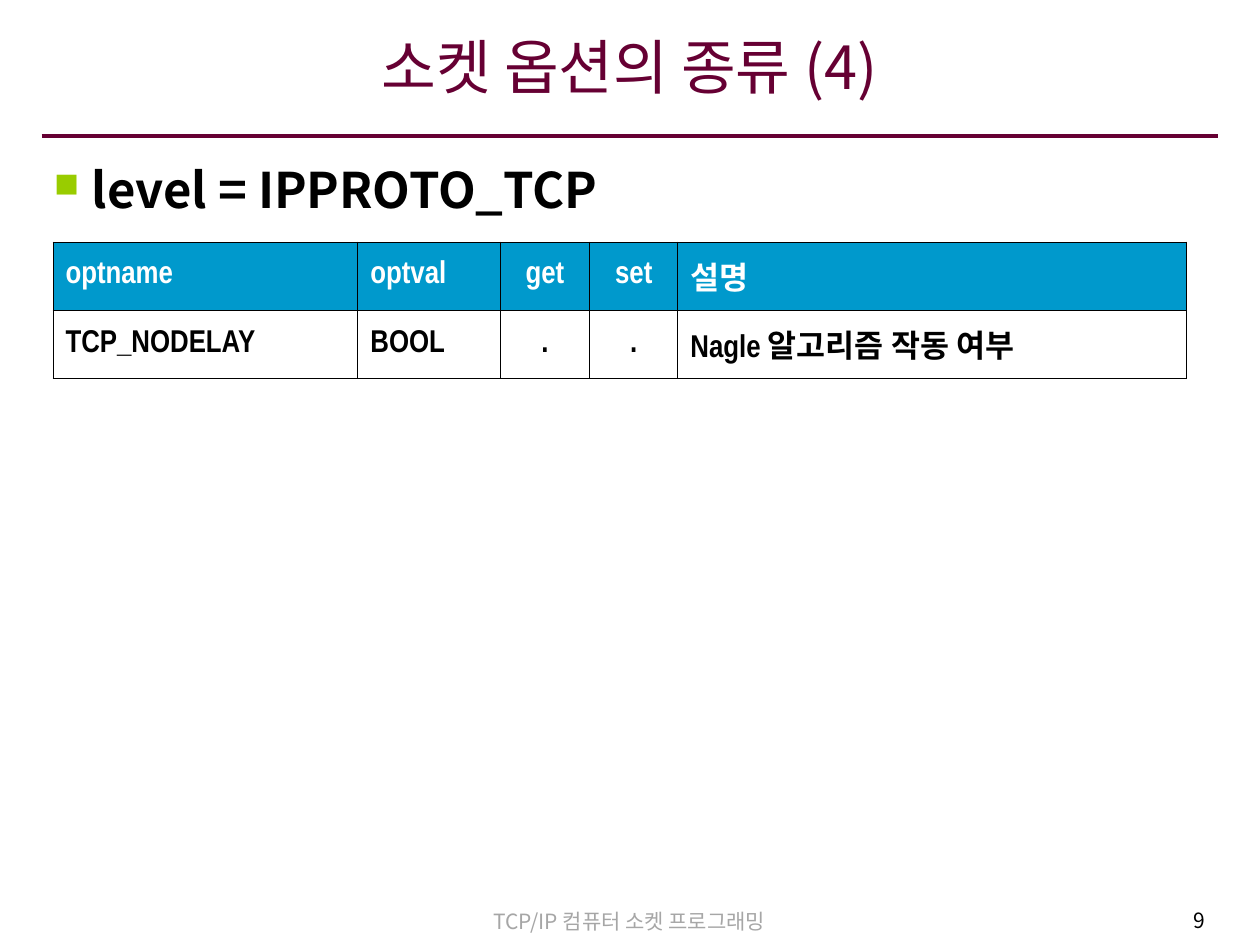
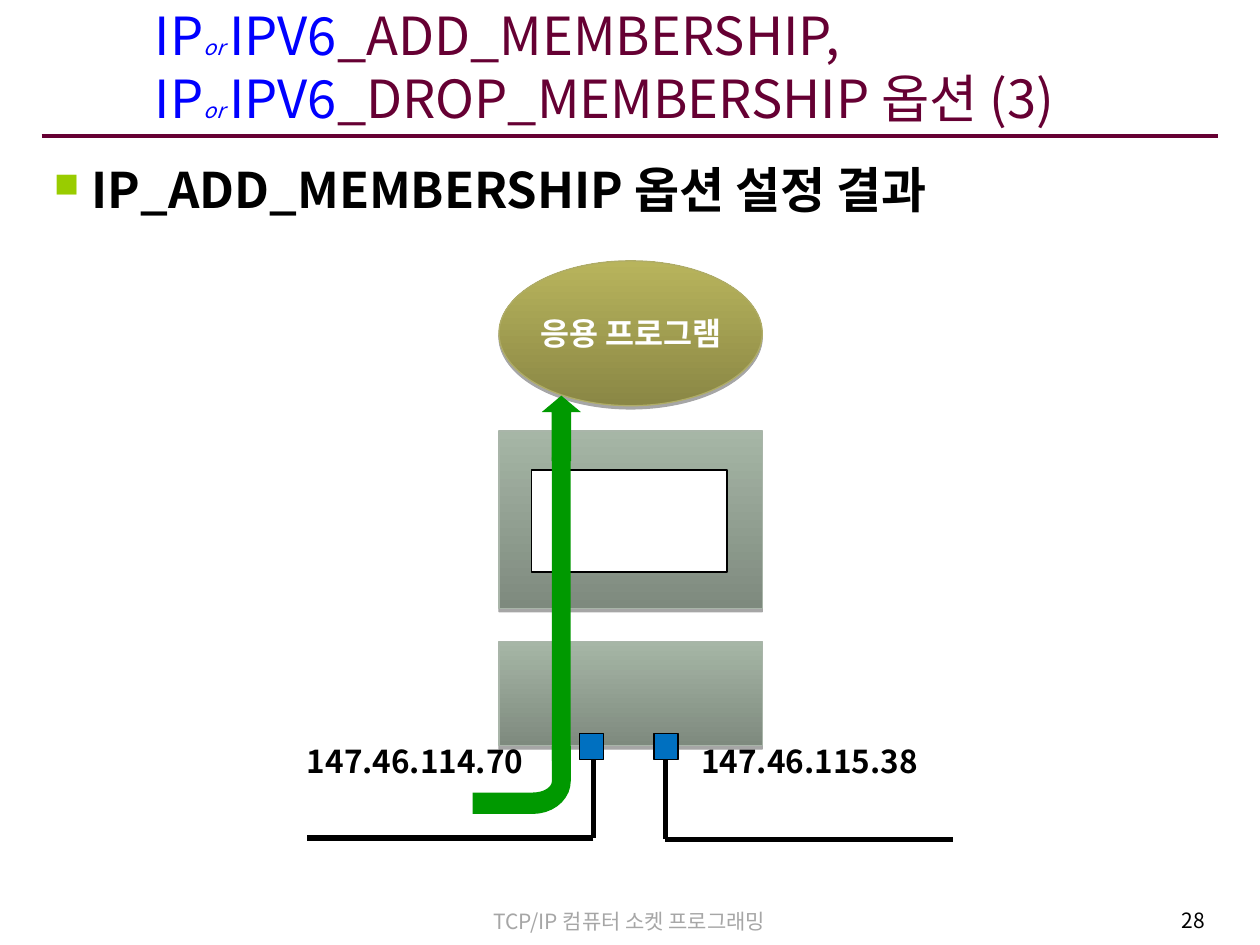
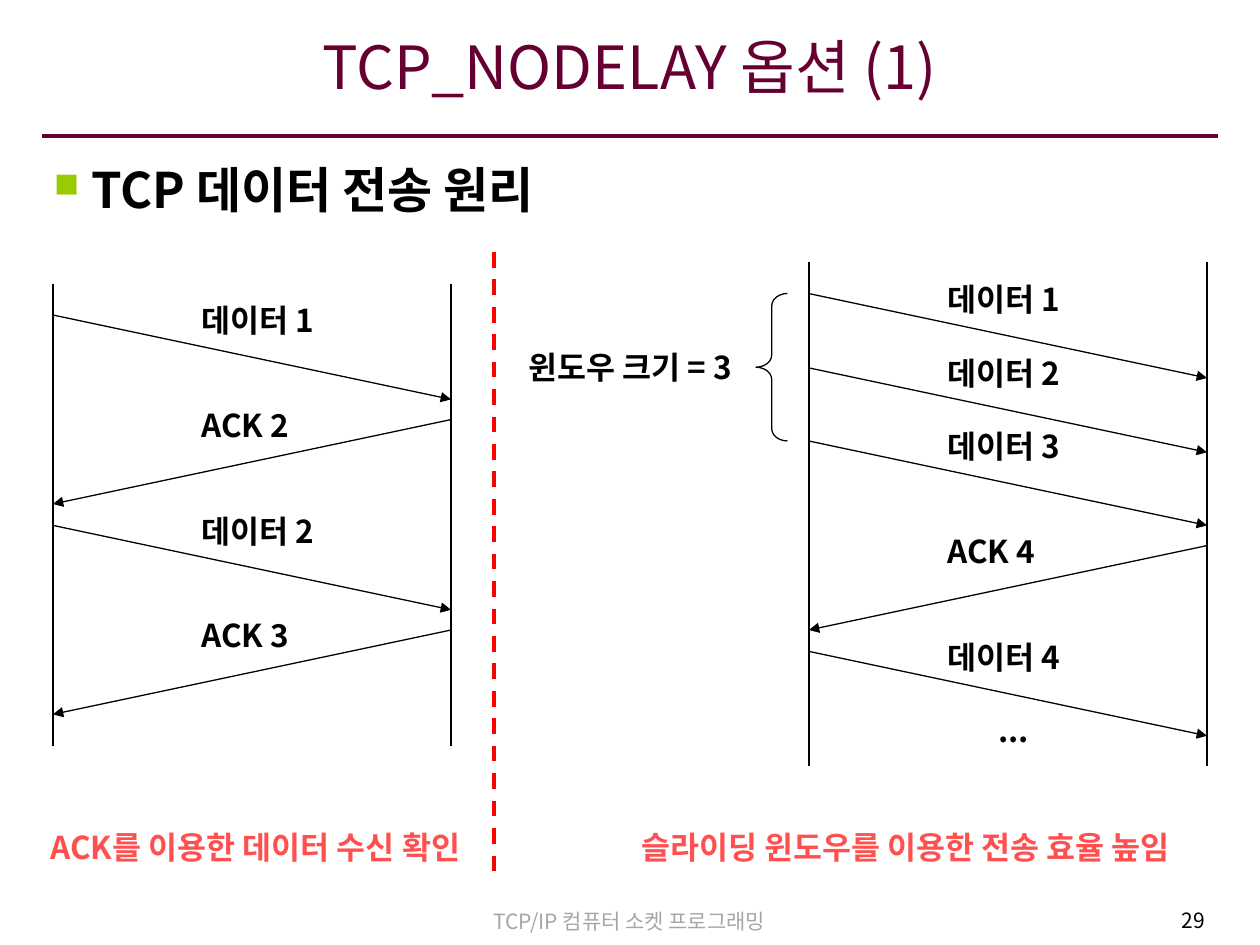
from dataclasses import dataclass
from math import cos, radians, sin

from lxml.etree import SubElement
from pptx import Presentation
from pptx.dml.color import RGBColor
from pptx.enum.dml import MSO_LINE
from pptx.enum.shapes import MSO_CONNECTOR, MSO_SHAPE
from pptx.enum.text import MSO_ANCHOR, MSO_AUTO_SIZE, PP_ALIGN
from pptx.oxml.ns import qn
from pptx.util import Inches, Pt


@dataclass(frozen=True)
class Theme:
    font: str = "Noto Sans CJK KR"
    table_font: str = "Arial Narrow"
    shape_font: str = "Arial"
    plum: str = "660033"
    black: str = "000000"
    white: str = "FFFFFF"
    gray: str = "A6A6A6"
    lime: str = "99CC00"
    header: str = "0099CC"
    blue: str = "0000FF"
    port: str = "0070C0"
    green: str = "009900"
    red: str = "FF0000"
    coral: str = "FF5050"
    olive: tuple = ("8A8745", "B8B45C", "AFAC67")
    sage: tuple = ("7E8A7E", "A6B6A6", "A9B5A9")
    title_size: int = 34
    long_title_size: int = 30
    heading_size: int = 28
    label_size: int = 18
    small_size: int = 12


THEME = Theme()


def rgb(value):
    return RGBColor.from_string(value)


def inches(*lengths):
    return [Inches(length) for length in lengths]


def add_span(para, text, size=THEME.label_size, color=THEME.black, bold=False,
             italic=False, font=THEME.font):
    span = para.add_run()
    span.text = text
    span.font.size = Pt(size)
    span.font.bold = bold
    span.font.italic = italic
    span.font.color.rgb = rgb(color)
    span.font.name = font
    SubElement(span.font._element, qn("a:ea"), typeface=THEME.font)


def write(frame, text, align=PP_ALIGN.LEFT, anchor=MSO_ANCHOR.MIDDLE, wrap=True, **style):
    frame.word_wrap = wrap
    frame.vertical_anchor = anchor
    para = frame.paragraphs[0]
    para.alignment = align
    add_span(para, text, **style)
    return para


def add_label(page, text, area, **style):
    box = page.shapes.add_textbox(*inches(*area))
    return write(box.text_frame, text, **style)


def add_line(page, start, end, color=THEME.black, width=0.75, arrow=False, dash=None):
    line = page.shapes.add_connector(MSO_CONNECTOR.STRAIGHT, *inches(*start, *end))
    line.line.color.rgb = rgb(color)
    line.line.width = Pt(width)
    if dash:
        line.line.dash_style = dash
    if arrow:
        SubElement(line.line._get_or_add_ln(), qn("a:tailEnd"), type="triangle")
    SubElement(line._element.spPr, qn("a:effectLst"))


def paint(shape, fill=None, outline=None):
    shape.shadow.inherit = False
    if fill:
        shape.fill.solid()
        shape.fill.fore_color.rgb = rgb(fill)
    else:
        shape.fill.background()
    if outline:
        shape.line.color.rgb = rgb(outline)
        shape.line.width = Pt(0.75)
    else:
        shape.line.fill.background()


def add_shape(page, kind, area, adjustments=(), **colors):
    shape = page.shapes.add_shape(kind, *inches(*area))
    for index, value in enumerate(adjustments):
        shape.adjustments[index] = value
    paint(shape, **colors)
    return shape


def add_raised_shape(page, kind, area, shades):
    dark, light, edge = shades
    shape = add_shape(page, kind, area, outline=edge)
    shape.fill.gradient()
    shape.fill.gradient_angle = 90
    for stop, shade in zip(shape.fill.gradient_stops, (dark, light)):
        stop.color.rgb = rgb(shade)
    effects = shape._element.spPr.find(qn("a:effectLst"))
    shadow = SubElement(effects, qn("a:outerShdw"), dist=str(Pt(1.8)),
                        dir="5400000", rotWithShape="0")
    tint = SubElement(shadow, qn("a:srgbClr"), val=THEME.black)
    SubElement(tint, qn("a:alpha"), val="35000")
    return shape


def add_title(page, lines, align=PP_ALIGN.CENTER, indent=0.0, spacing=1.0):
    title = page.shapes.title
    title.left, title.top, title.width, title.height = inches(0.33, 0.15, 9.33, 0.85)
    frame = title.text_frame
    frame.auto_size = MSO_AUTO_SIZE.NONE
    frame.word_wrap = True
    frame.vertical_anchor = MSO_ANCHOR.MIDDLE
    frame.margin_left, frame.margin_top, frame.margin_right, frame.margin_bottom = inches(
        0.08 + indent, 0.05, 0.08, 0.16)
    para = frame.paragraphs[0]
    para.alignment = align
    para.line_spacing = spacing
    for index, spans in enumerate(lines):
        if index:
            para.add_line_break()
        for text, style in spans:
            add_span(para, text, **style)


def add_heading(page, text):
    para = add_label(page, text, (0.33, 1.22, 9.33, 5.86), anchor=MSO_ANCHOR.TOP,
                     size=THEME.heading_size, bold=True)
    para.space_before = Pt(7)
    props = para._p.get_or_add_pPr()
    props.set("marL", str(Inches(0.3)))
    props.set("indent", str(Inches(-0.3)))
    color = SubElement(props, qn("a:buClr"))
    SubElement(color, qn("a:srgbClr"), val=THEME.lime)
    SubElement(props, qn("a:buSzPct"), val="70000")
    SubElement(props, qn("a:buChar"), char="■")


def add_page(deck, number, heading):
    page = deck.slides.add_slide(deck.slide_layouts[5])
    add_line(page, (0.33, 1.08), (9.67, 1.08), color=THEME.plum, width=2.25)
    add_label(page, "TCP/IP 컴퓨터 소켓 프로그래밍", (2.87, 7.16, 4.25, 0.3),
              align=PP_ALIGN.CENTER, anchor=MSO_ANCHOR.TOP,
              size=THEME.small_size, color=THEME.gray)
    add_label(page, str(number), (7.54, 7.15, 2.12, 0.33), align=PP_ALIGN.RIGHT,
              anchor=MSO_ANCHOR.TOP, size=THEME.small_size)
    add_heading(page, heading)
    return page


def plain_title(text):
    return [[(text, dict(size=THEME.title_size, color=THEME.plum))]]


def add_borders(cell):
    props = cell._tc.get_or_add_tcPr()
    for index, side in enumerate(("lnL", "lnR", "lnT", "lnB")):
        border = SubElement(props, qn(f"a:{side}"), w=str(Pt(0.45)))
        fill = SubElement(border, qn("a:solidFill"))
        SubElement(fill, qn("a:srgbClr"), val=THEME.black)
        props.insert(index, border)


def add_option_table(page, rows, widths, centered):
    table = page.shapes.add_table(len(rows), len(widths),
                                  *inches(0.42, 1.92, sum(widths), 0.54 * len(rows))).table
    table.first_row = table.horz_banding = False
    for column, width in zip(table.columns, widths):
        column.width = Inches(width)
    for row_index, row in enumerate(rows):
        is_header = row_index == 0
        for column_index, text in enumerate(row):
            cell = table.cell(row_index, column_index)
            if is_header:
                cell.fill.solid()
                cell.fill.fore_color.rgb = rgb(THEME.header)
            else:
                cell.fill.background()
            add_borders(cell)
            cell.vertical_anchor = MSO_ANCHOR.MIDDLE
            para = cell.text_frame.paragraphs[0]
            para.alignment = PP_ALIGN.CENTER if column_index in centered else PP_ALIGN.LEFT
            add_span(para, text, bold=True, font=THEME.table_font,
                     color=THEME.white if is_header else THEME.black)


def add_bend(page, center, outer, inner, top, left):
    x, y = center

    def arc(radii, angles):
        return [(x + radii[0] * cos(radians(angle)), y + radii[1] * sin(radians(angle)))
                for angle in angles]

    points = [(left, y + outer[1]), *arc(outer, range(90, -1, -10)), (x + outer[0], top),
              (x + inner[0], top), *arc(inner, range(0, 91, 10)), (left, y + inner[1])]
    builder = page.shapes.build_freeform(*inches(*points[0]))
    builder.add_line_segments([inches(*point) for point in points[1:]])
    paint(builder.convert_to_shape(), fill=THEME.green)


def add_exchange(page, left, right, top, bottom, label_left, messages):
    for x in (left, right):
        add_line(page, (x, top), (x, bottom), width=1.5)
    for y, text in messages:
        start, end = (right, left) if text.startswith("ACK") else (left, right)
        add_line(page, (start, y), (end, y + 0.67), arrow=True)
        add_label(page, text, (label_left, y - 0.17, 1.25, 0.42), bold=True)


def build_option_page(deck):
    page = add_page(deck, 9, "level = IPPROTO_TCP")
    add_title(page, plain_title("소켓 옵션의 종류 (4)"))
    rows = [("optname", "optval", "get", "set", "설명"),
            ("TCP_NODELAY", "BOOL", ".", ".", "Nagle 알고리즘 작동 여부")]
    add_option_table(page, rows, (2.42, 1.13, 0.71, 0.7, 4.04), centered=(2, 3))


def build_membership_page(deck):
    page = add_page(deck, 28, "IP_ADD_MEMBERSHIP 옵션 설정 결과")
    accent = dict(size=THEME.long_title_size, color=THEME.blue)
    small = dict(size=THEME.small_size, color=THEME.blue, italic=True)
    main_style = dict(size=THEME.long_title_size, color=THEME.plum)
    prefix = [("IP", accent), ("or ", small), ("IPV6", accent)]
    add_title(page, [prefix + [(ending, main_style)] for ending in
                     ("_ADD_MEMBERSHIP,", "_DROP_MEMBERSHIP 옵션 (3)")],
              align=PP_ALIGN.LEFT, indent=0.82)

    for top, height in ((3.42, 1.41), (5.09, 0.83)):
        add_raised_shape(page, MSO_SHAPE.RECTANGLE, (3.96, top, 2.09, height), THEME.sage)
    add_shape(page, MSO_SHAPE.RECTANGLE, (4.22, 3.73, 1.55, 0.81),
              fill=THEME.white, outline=THEME.black)
    for port_x, cable_end, y in ((4.71, 2.44, 6.65), (5.28, 7.56, 6.66)):
        add_line(page, (port_x, y), (port_x, 5.92), width=3)
        add_line(page, (port_x, y), (cable_end, y), width=3)
    for left, address in ((2.25, "147.46.114.70"), (5.38, "147.46.115.38")):
        add_label(page, address, (left, 5.83, 2.09, 0.42), align=PP_ALIGN.CENTER, bold=True)

    add_shape(page, MSO_SHAPE.RECTANGLE, (4.38, 3.63, 0.15, 2.41), fill=THEME.green)
    program = add_raised_shape(page, MSO_SHAPE.OVAL, (3.96, 2.07, 2.09, 1.15), THEME.olive)
    write(program.text_frame, "응용 프로그램", align=PP_ALIGN.CENTER, wrap=False,
          color=THEME.white, bold=True, font=THEME.shape_font)
    for left in (4.6, 5.19):
        add_shape(page, MSO_SHAPE.RECTANGLE, (left, 5.82, 0.19, 0.21),
                  fill=THEME.port, outline=THEME.black)
    add_shape(page, MSO_SHAPE.UP_ARROW, (4.3, 3.14, 0.31, 0.52), (0.5, 0.42),
              fill=THEME.green)
    add_bend(page, center=(4.23, 6.2), outer=(0.3, 0.26), inner=(0.15, 0.09),
             top=5.92, left=3.75)


def build_nodelay_page(deck):
    page = add_page(deck, 29, "TCP 데이터 전송 원리")
    add_title(page, plain_title("TCP_NODELAY 옵션 (1)"))
    add_exchange(page, 0.42, 3.58, 2.25, 5.92, 1.5,
                 [(2.5, "데이터 1"), (3.33, "ACK 2"), (4.17, "데이터 2"), (5, "ACK 3")])
    add_exchange(page, 6.42, 9.58, 2.08, 6.08, 7.42,
                 [(2.33, "데이터 1"), (2.92, "데이터 2"), (3.5, "데이터 3"),
                  (4.33, "ACK 4"), (5.17, "데이터 4")])
    add_label(page, "...", (7.42, 5.58, 1.25, 0.42), align=PP_ALIGN.CENTER, bold=True)
    add_label(page, "윈도우 크기 = 3", (4, 2.74, 2, 0.34), align=PP_ALIGN.CENTER, bold=True)
    add_shape(page, MSO_SHAPE.LEFT_BRACE, (6, 2.33, 0.25, 1.17), (0.39, 0.5),
              outline=THEME.black)
    add_line(page, (3.92, 2), (3.92, 7), color=THEME.red, width=2.25, dash=MSO_LINE.DASH)
    captions = [("ACK를 이용한 데이터 수신 확인", 0.19, 3.56, PP_ALIGN.RIGHT),
                ("슬라이딩 윈도우를 이용한 전송 효율 높임", 4.99, 4.46, PP_ALIGN.LEFT)]
    for text, left, width, align in captions:
        add_label(page, text, (left, 6.52, width, 0.4), align=align, wrap=False,
                  anchor=MSO_ANCHOR.TOP, color=THEME.coral, bold=True)


def main():
    deck = Presentation()
    deck.slide_width, deck.slide_height = inches(10, 7.5)
    build_option_page(deck)
    build_membership_page(deck)
    build_nodelay_page(deck)
    deck.save("out.pptx")


if __name__ == "__main__":
    main()
